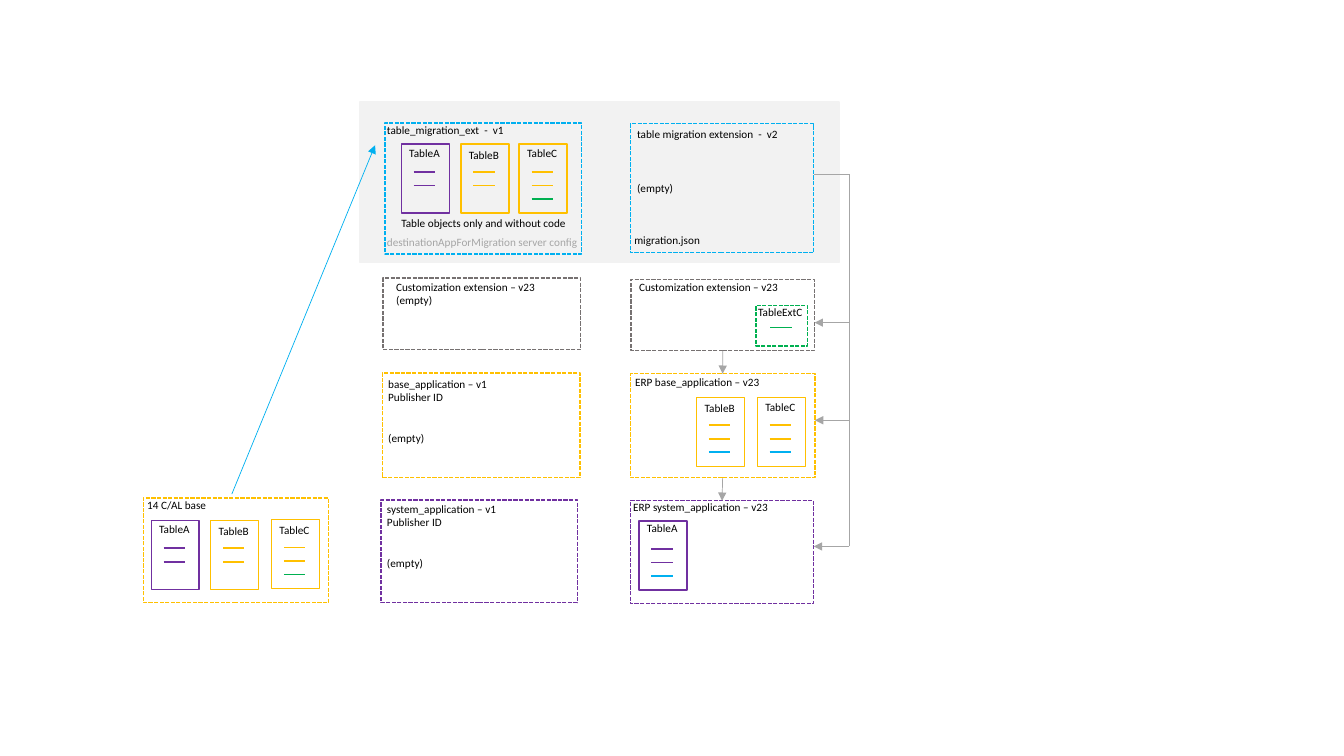
import pptx
import pptx.dml.color
import pptx.enum.dml
import pptx.enum.shapes
import pptx.enum.text
import pptx.oxml
import pptx.oxml.ns
import pptx.util
from pptx.util import Cm

RGBColor = pptx.dml.color.RGBColor
BLACK = RGBColor(0x00, 0x00, 0x00)
PALE_GREY = RGBColor(0xF2, 0xF2, 0xF2)
MID_GREY = RGBColor(0xA6, 0xA6, 0xA6)
DARK_GREY = RGBColor(0x76, 0x71, 0x71)
PURPLE = RGBColor(0x70, 0x30, 0xA0)
AMBER = RGBColor(0xFF, 0xC0, 0x00)
BLUE = RGBColor(0x00, 0xB0, 0xF0)
GREEN = RGBColor(0x00, 0xB0, 0x50)

BOTTOM, TOP = 2, 0
FIELD_OFFSETS = (0.70, 1.05, 1.38)
FIELD_WIDTH = 0.54
LINE_PITCH = 9.76  # points, one line of 8 pt text


class Diagram:
    """Draws the migration elements on one slide, with lengths in centimetres."""

    font_name = "Calibri"
    font_size = pptx.util.Pt(8)

    def __init__(self, slide):
        self.slide = slide

    def rectangle(self, left, top, width, height, color, fill=None, dashed=False, shapes=None):
        shapes = self.slide.shapes if shapes is None else shapes
        shape = shapes.add_shape(pptx.enum.shapes.MSO_SHAPE.RECTANGLE,
                                 Cm(left), Cm(top), Cm(width), Cm(height))
        shape.shadow.inherit = False
        if fill is None:
            shape.fill.background()
        else:
            shape.fill.solid()
            shape.fill.fore_color.rgb = fill
        shape.line.color.rgb = color
        shape.line.width = pptx.util.Pt(1)
        if dashed:
            shape.line.dash_style = pptx.enum.dml.MSO_LINE.SQUARE_DOT
        return shape

    def line(self, start, end, color, width=0.5, arrow=False, shapes=None):
        shapes = self.slide.shapes if shapes is None else shapes
        connector = shapes.add_connector(pptx.enum.shapes.MSO_CONNECTOR.STRAIGHT,
                                         *(Cm(value) for value in (*start, *end)))
        connector.line.color.rgb = color
        connector.line.width = pptx.util.Pt(width)
        if arrow:
            line_element = connector.line._get_or_add_ln()
            tail = pptx.oxml.parse_xml(
                f'<a:tailEnd {pptx.oxml.ns.nsdecls("a")} type="triangle"/>')
            line_element.append(tail)
        connector._element.spPr.append(
            pptx.oxml.parse_xml(f'<a:effectLst {pptx.oxml.ns.nsdecls("a")}/>'))
        return connector

    def link_down(self, upper, lower):
        connector = self.line((0, 0), (1, 1), MID_GREY, arrow=True)
        connector.begin_connect(upper, BOTTOM)
        connector.end_connect(lower, TOP)

    def text(self, left, top, width, lines, height=0.53, color=BLACK,
             margins=(0.1, 0.1), last_gap=0):
        """Add a label; last_gap is the number of lines left free above its last line."""
        box = self.slide.shapes.add_textbox(Cm(left), Cm(top), Cm(width), Cm(height))
        frame = box.text_frame
        frame.word_wrap = True
        frame.auto_size = pptx.enum.text.MSO_AUTO_SIZE.SHAPE_TO_FIT_TEXT
        frame.margin_left = frame.margin_right = Cm(margins[0])
        frame.margin_top = frame.margin_bottom = Cm(margins[1])
        frame.text = "\n".join(lines)
        for paragraph in frame.paragraphs:
            for run in paragraph.runs:
                run.font.name = self.font_name
                run.font.size = self.font_size
                run.font.color.rgb = color
        if last_gap:
            frame.paragraphs[-1].space_before = pptx.util.Pt(round(last_gap * LINE_PITCH, 1))

    def table_card(self, left, top, name, color, field_colors, label_shift=0):
        """Add a named table with one short stroke per field."""
        card = self.slide.shapes.add_group_shape().shapes
        self.rectangle(left, top, 1.21, 1.74, color, shapes=card)
        for offset, field_color in zip(FIELD_OFFSETS, field_colors):
            self.line((left + 0.31, top + offset), (left + 0.31 + FIELD_WIDTH, top + offset),
                      field_color, width=1, shapes=card)
        self.text(left + 0.1, top + label_shift, 1.14, [name])


def main():
    presentation = pptx.Presentation()
    presentation.slide_width = pptx.util.Inches(13.33)
    presentation.slide_height = pptx.util.Inches(7.5)
    diagram = Diagram(presentation.slides.add_slide(presentation.slide_layouts[6]))

    diagram.rectangle(9.07, 2.57, 12.07, 4.04, PALE_GREY, fill=PALE_GREY)

    extensions = {
        "old base": (3.61, 12.55, 4.67, 2.64, AMBER),
        "migration v1": (9.70, 3.10, 4.95, 3.30, BLUE),
        "migration v2": (15.88, 3.12, 4.62, 3.25, BLUE),
        "customization v1": (9.65, 7.01, 4.98, 1.80, DARK_GREY),
        "customization v23": (15.90, 7.04, 4.62, 1.80, DARK_GREY),
        "table extension": (19.05, 7.70, 1.30, 1.02, GREEN),
        "base v1": (9.63, 9.40, 4.98, 2.64, AMBER),
        "base v23": (15.88, 9.42, 4.65, 2.62, AMBER),
        "system v1": (9.60, 12.60, 4.95, 2.59, PURPLE),
        "system v23": (15.88, 12.62, 4.62, 2.59, PURPLE),
    }
    boxes = {name: diagram.rectangle(*values, dashed=True)
             for name, values in extensions.items()}

    for left, top, name, color, field_colors, label_shift in (
        (3.81, 13.11, "TableA", PURPLE, [PURPLE] * 2, -0.05),
        (5.31, 13.11, "TableB", AMBER, [AMBER] * 2, 0),
        (6.84, 13.09, "TableC", AMBER, [AMBER, AMBER, GREEN], 0),
        (10.11, 3.63, "TableA", PURPLE, [PURPLE] * 2, -0.05),
        (11.61, 3.63, "TableB", AMBER, [AMBER] * 2, 0),
        (13.08, 3.63, "TableC", AMBER, [AMBER, AMBER, GREEN], -0.03),
        (17.55, 10.01, "TableB", AMBER, [AMBER, AMBER, BLUE], 0),
        (19.08, 10.01, "TableC", AMBER, [AMBER, AMBER, BLUE], -0.03),
        (16.10, 13.13, "TableA", PURPLE, [PURPLE, PURPLE, BLUE], -0.1),
    ):
        diagram.table_card(left, top, name, color, field_colors, label_shift)

    diagram.line((19.41, 8.26), (19.41 + FIELD_WIDTH, 8.26), GREEN, width=1)

    for left, top, width, label in (
        (3.61, 12.45, 4.45, "14 C/AL base"),
        (9.65, 3.00, 4.62, "table_migration_ext  -  v1"),
        (15.88, 5.77, 2.67, "migration.json"),
        (16.00, 6.96, 3.94, "Customization extension – v23"),
        (19.00, 7.59, 1.42, "TableExtC"),
        (15.90, 9.37, 3.73, "ERP base_application – v23"),
        (15.85, 12.50, 3.80, "ERP system_application – v23"),
    ):
        diagram.text(left, top, width, [label])

    diagram.text(9.86, 5.31, 4.67, ["Table objects only and without code"],
                 height=0.61, margins=(0.25, 0.13))
    diagram.text(9.65, 5.84, 5.46, ["destinationAppForMigration server config"], color=MID_GREY)
    diagram.text(15.95, 3.10, 4.62, ["table migration extension  -  v2", "(empty)"],
                 height=2.26, last_gap=3)
    diagram.text(9.88, 6.96, 4.14, ["Customization extension – v23", "(empty)"], height=0.89)
    for left, top, width, application in (
        (9.68, 9.40, 4.32, "base_application – v1"),
        (9.65, 12.55, 3.99, "system_application – v1"),
    ):
        diagram.text(left, top, width, [application, "Publisher ID", "(empty)"],
                     height=1.91, last_gap=2)

    diagram.line((5.84, 12.45), (9.45, 3.66), BLUE, arrow=True)
    diagram.link_down(boxes["customization v23"], boxes["base v23"])
    diagram.link_down(boxes["base v23"], boxes["system v23"])

    trunk, trunk_top, trunk_bottom = 21.39, 4.39, 13.77
    diagram.line((trunk, trunk_top), (20.50, trunk_top), MID_GREY)
    diagram.line((trunk, trunk_bottom), (trunk, trunk_top), MID_GREY)
    for right_edge, height in ((20.52, 8.13), (20.53, 10.59), (20.50, trunk_bottom)):
        diagram.line((trunk, height), (right_edge, height), MID_GREY, arrow=True)

    presentation.save("out.pptx")


if __name__ == "__main__":
    main()
